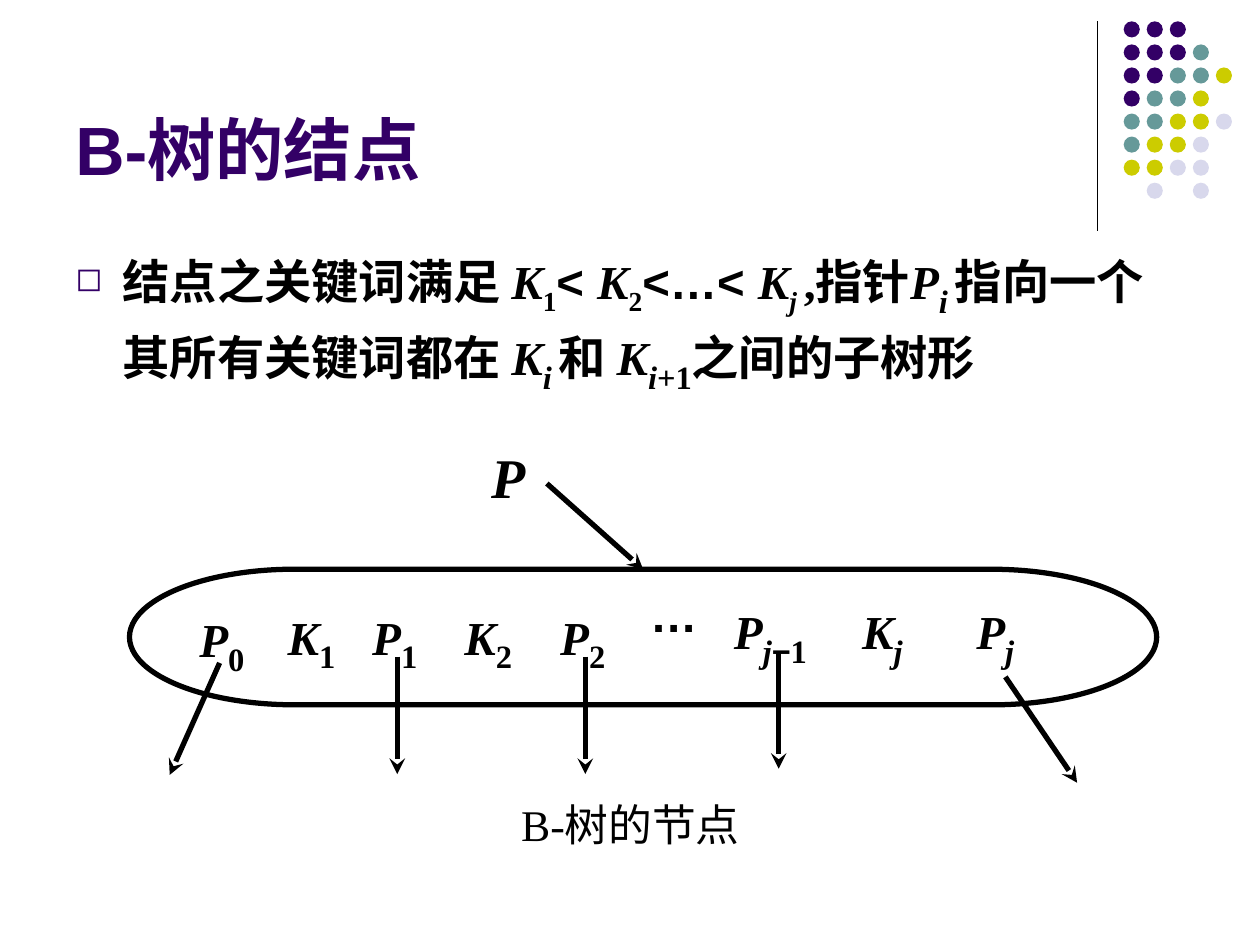
from lxml import etree
from pptx import Presentation
from pptx.dml.color import RGBColor
from pptx.enum.shapes import MSO_CONNECTOR, MSO_SHAPE
from pptx.enum.text import MSO_ANCHOR, PP_ALIGN
from pptx.oxml.ns import qn
from pptx.util import Pt

STRAIGHT = MSO_CONNECTOR.STRAIGHT
OVAL, TERMINATOR = MSO_SHAPE.OVAL, MSO_SHAPE.FLOWCHART_TERMINATOR
LEFT, CENTER = PP_ALIGN.LEFT, PP_ALIGN.CENTER
TOP, MIDDLE, BOTTOM = MSO_ANCHOR.TOP, MSO_ANCHOR.MIDDLE, MSO_ANCHOR.BOTTOM

PURPLE, BLACK = "330066", "000000"
SERIF, SANS, CJK = "Times New Roman", "Arial", "Noto Sans CJK SC"
DOT_COLORS = {"P": PURPLE, "T": "669999", "Y": "CCCC00", "L": "D8D8EC"}
DOT_ROWS = ["PPP", "PPPT", "PPTTY", "PTTY", "TTYYL", "TYYL", "YYLL", ".L.L"]

BOLD = {"name": SERIF, "size": Pt(27), "bold": True, "italic": False}
VAR = {**BOLD, "italic": True}
SYMBOL = {**BOLD, "name": SANS}
SUB = {**BOLD, "size": Pt(32), "base": -25}
SUB_VAR = {**SUB, "italic": True}
SUB_SYMBOL = {**SUB, "name": SANS}
SMALL_SUB = {**BOLD, "base": -25}
SMALL_SUB_VAR = {**VAR, "base": -25}
TITLE = {**SYMBOL, "size": Pt(39)}
CAPTION = {"name": SERIF, "size": Pt(25)}
POINTER = {**VAR, "size": Pt(32)}

BODY = [
    ("结点之关键词满足 ", BOLD), ("K", VAR), ("1", SMALL_SUB), ("< ", SYMBOL),
    ("K", VAR), ("2", SMALL_SUB), ("<…< ", SYMBOL), ("K", VAR),
    ("j ", SMALL_SUB_VAR), (",指针", BOLD), ("P", VAR), ("i", SUB_VAR),
    (" ", SMALL_SUB_VAR), ("指向一个其所有关键词都在 ", BOLD), ("K", VAR),
    ("i", SUB_VAR), (" ", SMALL_SUB_VAR), ("和 ", BOLD), ("K", VAR),
    ("i", SUB_VAR), ("+1", SUB), ("之间的子树形", BOLD),
]

FIELDS = [
    (34, 18.5, 37.5, [("P", VAR), ("0", SUB)]),
    (85, 17, 38, [("K", VAR), ("1", SUB)]),
    (132.5, 17, 38, [("P", VAR), ("1", SUB)]),
    (186.5, 17, 37, [("K", VAR), ("2", SUB)]),
    (238.5, 17, 41, [("P", VAR), ("2", SUB)]),
    (297, 9, 28, [("…", SYMBOL)]),
    (340, 16, 52.5, [("P", VAR), ("j", SUB_VAR), ("−", SUB_SYMBOL), ("1", SUB)]),
    (410.5, 14, 39.5, [("K", VAR), ("j", SUB_VAR)]),
    (471, 14, 47.5, [("P", VAR), ("j", SUB_VAR)]),
]

CHILD_ARROWS = [
    (51.5, 53.5, 23, 117.5),
    (153, 50, 153, 117),
    (260.5, 50, 260.5, 117),
    (371, 47, 371, 114),
    (500.5, 61.5, 541.5, 122),
]


def color(value):
    return RGBColor.from_string(value)


def add_text(s, box, runs, rgb=BLACK, align=CENTER, anchor=TOP,
             insets=(0, 0, 0, 0), spacing=None):
    tf = s.shapes.add_textbox(*map(Pt, box)).text_frame
    formats = {"word_wrap": True, "vertical_anchor": anchor}
    sides = ("margin_left", "margin_top", "margin_right", "margin_bottom")
    formats.update(zip(sides, map(Pt, insets)))
    for key, value in formats.items():
        setattr(tf, key, value)
    p = tf.paragraphs[0]
    p.alignment, p.line_spacing = align, spacing
    for text, style in runs:
        r = p.add_run()
        r.text = text
        for key, value in style.items():
            if key == "base":
                r.font._element.set("baseline", str(value * 1000))
            else:
                setattr(r.font, key, value)
        r.font.color.rgb = color(rgb)
        etree.SubElement(r.font._element, qn("a:ea"), typeface=CJK)
    return p


def add_line(s, points, width=3, arrow=True):
    sp = s.shapes.add_connector(STRAIGHT, *map(Pt, points))
    sp.line.color.rgb = color(BLACK)
    sp.line.width = Pt(width)
    if arrow:
        etree.SubElement(sp.line._get_or_add_ln(), qn("a:tailEnd"), type="stealth")
    etree.SubElement(sp._element.spPr, qn("a:effectLst"))
    return sp


def add_dots(s, left, top, pitch, size):
    for row, marks in enumerate(DOT_ROWS):
        for col, mark in enumerate(marks):
            if mark in DOT_COLORS:
                x, y = left + col * pitch, top + row * pitch
                sp = s.shapes.add_shape(OVAL, Pt(x), Pt(y), Pt(size), Pt(size))
                sp.shadow.inherit = False
                sp.fill.solid()
                sp.fill.fore_color.rgb = color(DOT_COLORS[mark])
                sp.line.fill.background()


def add_decoration(s, x, y, height):
    add_line(s, (x, y, x, y + height), width=0.75, arrow=False)
    add_dots(s, x + 15.1, y, 13.17, 9.2)


def add_title(s, box):
    add_text(s, box, [("B-树的结点", TITLE)], PURPLE, LEFT, BOTTOM, (7.2, 3.6, 7.2, 3.6))


def add_body(s, box):
    p = add_text(s, box, BODY, align=LEFT, insets=(7.2, 3.6, 7.2, 3.6))
    pPr = p._p.get_or_add_pPr()
    pPr.set("marL", str(Pt(27)))
    pPr.set("indent", str(Pt(-27)))
    bullet_color = etree.SubElement(pPr, qn("a:buClr"))
    etree.SubElement(bullet_color, qn("a:srgbClr"), val=PURPLE)
    etree.SubElement(pPr, qn("a:buSzPct"), val="70000")
    etree.SubElement(pPr, qn("a:buChar"), char="◻")


def add_node(s, left, top, width, height):
    node = s.shapes.add_shape(TERMINATOR, *map(Pt, (left, top, width, height)))
    node.shadow.inherit = False
    node.fill.background()
    node.line.color.rgb = color(BLACK)
    node.line.width = Pt(3)
    for x, y, w, runs in FIELDS:
        spacing = 0.85 if len(runs) > 2 else None
        add_text(s, (left + x, top + y, w, 47), runs, spacing=spacing)
    add_text(s, (left + 170, top + 130.5, 232.5, 30), [("B-树的节点", CAPTION)])
    for x1, y1, x2, y2 in CHILD_ARROWS:
        add_line(s, (left + x1, top + y1, left + x2, top + y2))
    pointer = add_line(s, (left + 238.5, top - 49, left + width / 2, top))
    pointer.end_connect(node, 0)
    add_text(s, (left + 198, top - 67.5, 37.5, 32.5), [("P", POINTER)],
             anchor=MIDDLE, insets=(0, 3, 0, 0), spacing=0.8)


def main():
    prs = Presentation()
    prs.slide_width, prs.slide_height = Pt(720), Pt(540)
    s = prs.slides.add_slide(prs.slide_layouts[6])
    add_decoration(s, 627, 12.2, 119.6)
    add_title(s, (36, 9.5, 594, 102))
    add_body(s, (36, 135.5, 648, 347))
    add_node(s, 74, 325.3, 587, 77.5)
    prs.save("out.pptx")


if __name__ == "__main__":
    main()
